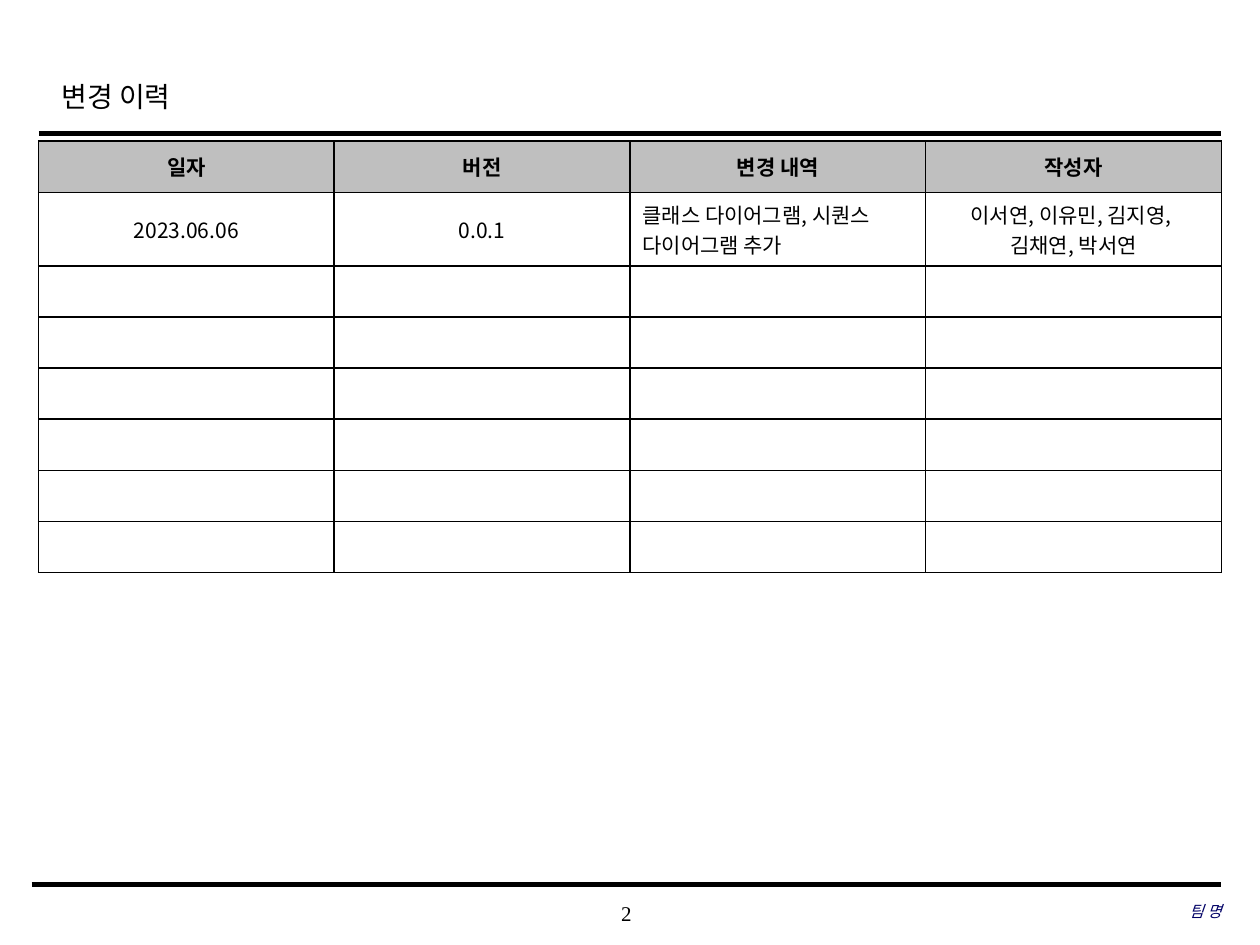
import pptx
import pptx.dml.color
import pptx.enum.shapes
import pptx.enum.text
import pptx.oxml
import pptx.oxml.ns
import pptx.util
from lxml import etree

Pt = pptx.util.Pt
RGBColor = pptx.dml.color.RGBColor
Align = pptx.enum.text.PP_ALIGN
Anchor = pptx.enum.text.MSO_ANCHOR
qn = pptx.oxml.ns.qn

BLACK = RGBColor(0x00, 0x00, 0x00)
WHITE = RGBColor(0xFF, 0xFF, 0xFF)
HEADER_GRAY = RGBColor(0xBF, 0xBF, 0xBF)
NAVY = RGBColor(0x00, 0x00, 0x66)
SERIF = "Times New Roman"
KOREAN = "Noto Sans CJK KR"

HEADERS = ["일자", "버전", "변경 내역", "작성자"]
HISTORY = [
    [
        "2023.06.06",
        "0.0.1",
        "클래스 다이어그램, 시퀀스 다이어그램 추가",
        "이서연, 이유민, 김지영, \n김채연, 박서연",
    ],
]
ROW_COUNT = 8
DESCRIPTION_COLUMN = 2


def write_text(frame, text, size=12, font=KOREAN, color=BLACK, bold=False,
               italic=False, align=Align.LEFT, spacing=None):
    """Fill a text frame, one paragraph for each line of text."""
    for index, line in enumerate(text.split("\n")):
        paragraph = frame.paragraphs[0] if index == 0 else frame.add_paragraph()
        paragraph.alignment = align
        paragraph.line_spacing = spacing
        run = paragraph.add_run()
        run.text = line
        run.font.size = Pt(size)
        run.font.name = font
        run.font.bold = bold
        run.font.italic = italic
        run.font.color.rgb = color
        east_asian = etree.SubElement(run.font._element, qn("a:ea"))
        east_asian.set("typeface", KOREAN)


def clear_margins(frame):
    frame.margin_left = frame.margin_right = 0
    frame.margin_top = frame.margin_bottom = 0


def add_rule(slide, left, right, top, weight):
    rule = slide.shapes.add_connector(
        pptx.enum.shapes.MSO_CONNECTOR.STRAIGHT, Pt(left), Pt(top), Pt(right), Pt(top))
    rule.line.color.rgb = BLACK
    rule.line.width = Pt(weight)
    etree.SubElement(rule._element.spPr, qn("a:effectLst"))


def add_label(slide, left, top, width, height, text, **text_format):
    label = slide.shapes.add_textbox(Pt(left), Pt(top), Pt(width), Pt(height))
    frame = label.text_frame
    frame.word_wrap = True
    frame.vertical_anchor = Anchor.MIDDLE
    clear_margins(frame)
    write_text(frame, text, **text_format)


def add_heading(slide, left, top, width, height):
    title = slide.shapes.title
    title.left, title.top = Pt(left), Pt(top)
    title.width, title.height = Pt(width), Pt(height)
    title.text_frame.vertical_anchor = Anchor.MIDDLE
    write_text(title.text_frame, "변경 이력", size=16, font=SERIF, spacing=1.2)
    add_rule(slide, 22.3, 697.7, top + height + 5, 2.5)


def add_footer(slide, left, top, width):
    add_rule(slide, left, left + width, top, 3)
    add_label(slide, 283, top + 4.4, 150, 23.8, "2", font=SERIF, align=Align.CENTER)
    add_label(slide, left + width - 220, top + 3.6, 220, 23.8, "팀 명", size=9,
              font=SERIF, color=NAVY, italic=True, align=Align.RIGHT)


def add_borders(cell):
    properties = cell._tc.get_or_add_tcPr()
    for index, side in enumerate(("lnL", "lnR", "lnT", "lnB")):
        border = pptx.oxml.parse_xml(
            f'<a:{side} {pptx.oxml.ns.nsdecls("a")} w="{Pt(1)}"><a:solidFill>'
            f'<a:srgbClr val="{BLACK}"/></a:solidFill></a:{side}>')
        properties.insert(index, border)


def add_history_table(slide, left, top, width, height):
    rows = [HEADERS] + HISTORY
    rows += [[""] * len(HEADERS)] * (ROW_COUNT - len(rows))
    table = slide.shapes.add_table(
        ROW_COUNT, len(HEADERS), Pt(left), Pt(top), Pt(width), Pt(height)).table
    for column in table.columns:
        column.width = Pt(width / len(HEADERS))
    for row_index, texts in enumerate(rows):
        is_header = row_index == 0
        table.rows[row_index].height = Pt(height / ROW_COUNT)
        for column_index, text in enumerate(texts):
            cell = table.cell(row_index, column_index)
            cell.vertical_anchor = Anchor.MIDDLE
            cell.fill.solid()
            cell.fill.fore_color.rgb = HEADER_GRAY if is_header else WHITE
            add_borders(cell)
            is_description = column_index == DESCRIPTION_COLUMN and not is_header
            if text:
                write_text(cell.text_frame, text, bold=is_header,
                           align=Align.LEFT if is_description else Align.CENTER)
            else:
                end = etree.SubElement(
                    cell.text_frame.paragraphs[0]._p, qn("a:endParaRPr"))
                end.set("sz", "1200")


def main():
    presentation = pptx.Presentation()
    presentation.slide_width, presentation.slide_height = Pt(720), Pt(540)
    slide = presentation.slides.add_slide(presentation.slide_layouts[5])
    add_heading(slide, 28, 35.3, 543.6, 36)
    add_history_table(slide, 22, 80.7, 676, 233.6)
    add_footer(slide, 18, 505.4, 680)
    presentation.save("out.pptx")


if __name__ == "__main__":
    main()
